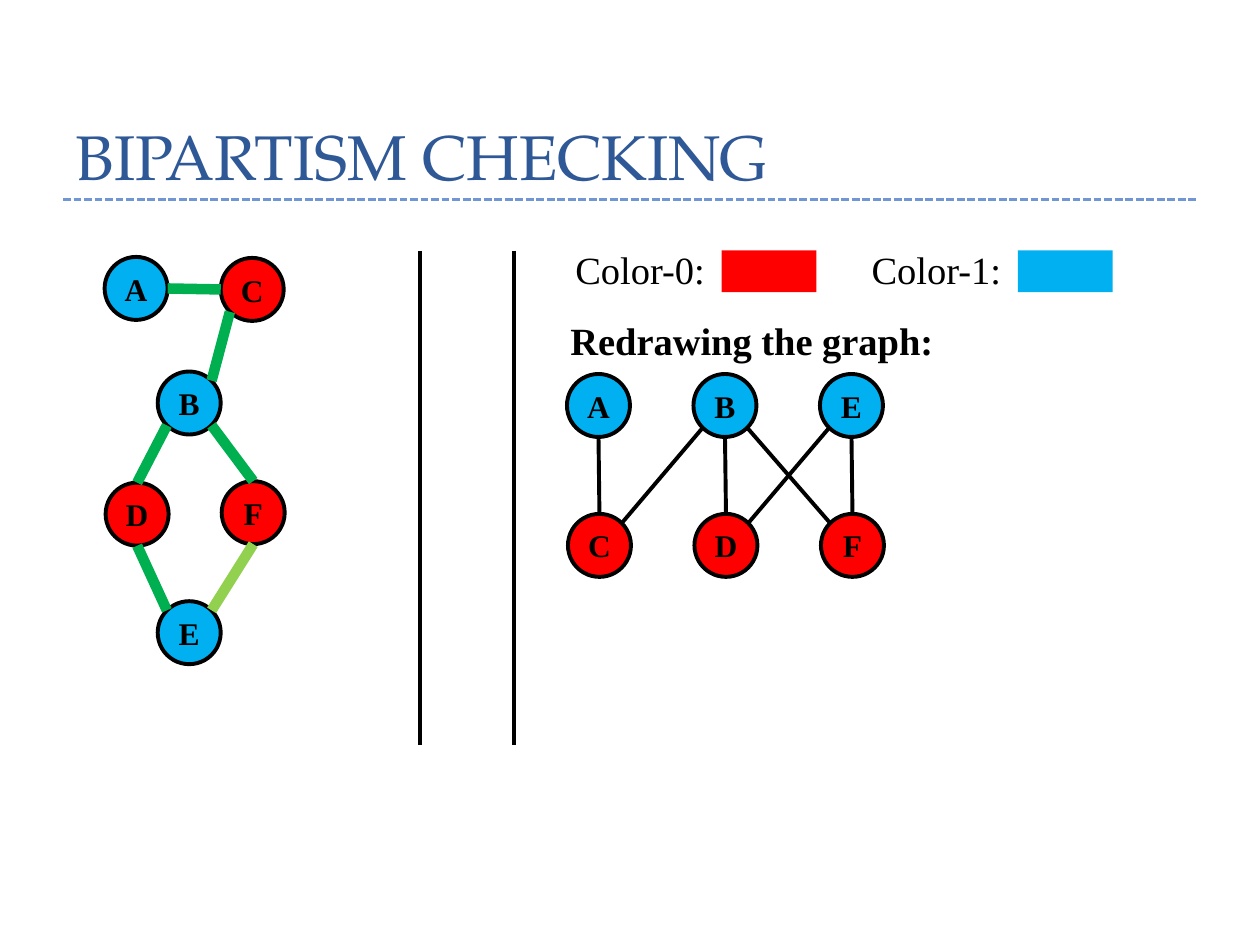
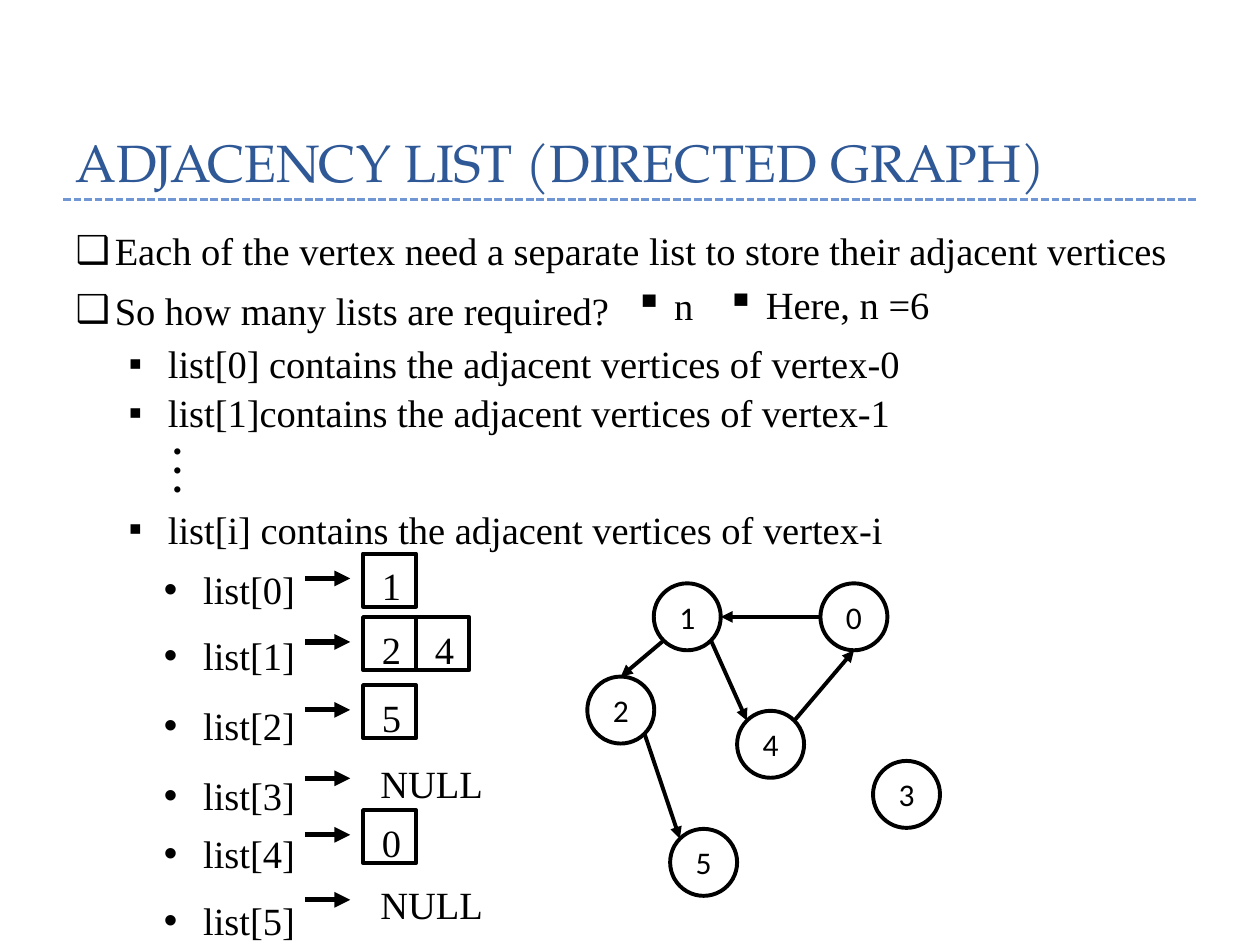
"""Build two slides on graphs: bipartism checking and the adjacency list."""
from dataclasses import dataclass

from lxml.etree import SubElement
from pptx import Presentation
from pptx.dml.color import RGBColor as Rgb
from pptx.enum.dml import MSO_LINE as Dash
from pptx.enum.shapes import MSO_CONNECTOR as Wire, MSO_SHAPE as Form
from pptx.enum.text import MSO_ANCHOR as Anchor, MSO_AUTO_SIZE as Fit, PP_ALIGN as Align
from pptx.oxml.ns import qn
from pptx.util import Cm, Pt


@dataclass(frozen=True)
class Theme:
    title: str = "2F5897"
    rule: str = "7097D3"
    ink: str = "000000"
    red: str = "FF0000"
    blue: str = "00B0F0"
    green: str = "00B050"
    lime: str = "92D050"
    head: str = "TeX Gyre Pagella"
    serif: str = "Times New Roman"
    sans: str = "Calibri"
    text: int = 22
    label: int = 18
    edge: float = 2.25
    hang: float = 0.79


look = Theme()
SITES = {"n": (0, -1), "s": (0, 1), "w": (-1, 0), "e": (1, 0),
         "nw": (-0.71, -0.71), "ne": (0.71, -0.71), "sw": (-0.71, 0.71), "se": (0.71, 0.71)}


def write(shape, text, size=look.text, font=look.serif, color=look.ink, bold=False,
          bullet=None, level=0, left=0, before=0, space=1.0, align=Align.LEFT,
          anchor=Anchor.TOP, fill=None, edge=False, pad=None):
    if fill or edge:
        shape.shadow.inherit = False
        shape.fill.background()
        shape.line.fill.background()
    if fill:
        shape.fill.solid()
        shape.fill.fore_color.rgb = Rgb.from_string(fill)
    if edge:
        shape.line.color.rgb = Rgb.from_string(look.ink)
        shape.line.width = Pt(look.edge)
    frame = shape.text_frame
    frame.word_wrap = True
    frame.auto_size = Fit.NONE
    frame.vertical_anchor = anchor
    if pad:
        frame.margin_left, frame.margin_top = Cm(pad[0]), Cm(pad[1])
        frame.margin_right = frame.margin_bottom = 0
    if not text:
        return
    para = frame.add_paragraph() if frame.text else frame.paragraphs[0]
    para.alignment, para.level = align, level
    para.line_spacing, para.space_before, para.space_after = space, Pt(before), Pt(0)
    if bullet:
        props = para._p.get_or_add_pPr()
        props.set("marL", str(Cm(left + look.hang)))
        props.set("indent", str(-Cm(look.hang)))
        SubElement(props, qn("a:buChar")).set("char", bullet)
    run = para.add_run()
    run.text = text
    run.font.size, run.font.name, run.font.bold = Pt(size), font, bold
    run.font.color.rgb = Rgb.from_string(color)


def link(slide, start, end, color=look.ink, width=look.edge, dash=None, arrow=False):
    points = []
    for item, spot in (start, end):
        if spot in SITES:
            across, down = SITES[spot]
            points += [int(item.left + item.width * (1 + across) / 2),
                       int(item.top + item.height * (1 + down) / 2)]
        else:
            points += [Cm(item), Cm(spot)]
    wire = slide.shapes.add_connector(Wire.STRAIGHT, *points)
    wire.line.color.rgb = Rgb.from_string(color)
    wire.line.width = Pt(width)
    if dash:
        wire.line.dash_style = dash
    props = wire._element.spPr
    if arrow:
        SubElement(props.find(qn("a:ln")), qn("a:tailEnd")).set("type", "triangle")
    SubElement(props, qn("a:effectLst"))


deck = Presentation()
deck.slide_width, deck.slide_height = Cm(25.4), Cm(19.05)
pages = []
for name, size, layout in (("BIPARTISM CHECKING", 36, 5),
                           ("ADJACENCY LIST (DIRECTED GRAPH)", 30, 1)):
    page = deck.slides.add_slide(deck.slide_layouts[layout])
    title = page.shapes.title
    title.left, title.top, title.width, title.height = Cm(1.27), Cm(-0.43), Cm(22.86), Cm(4.45)
    write(title, name, size=size, font=look.head, color=look.title, space=Pt(58),
          anchor=Anchor.BOTTOM)
    link(page, (1.27, 4.02), (24.13, 4.02), look.rule, 1.5, Dash.SQUARE_DOT)
    pages.append(page)

check, lists = pages

for x in (8.46, 10.36):
    link(check, (x, 5.05), (x, 15.01))
for x, swatch, name, fill in ((11.35, 14.55, "Color-0:", look.red),
                              (17.32, 20.52, "Color-1:", look.blue)):
    write(check.shapes.add_textbox(Cm(x), Cm(4.83), Cm(3.15), Cm(1.19)), name)
    write(check.shapes.add_shape(Form.RECTANGLE, Cm(swatch), Cm(5.05), Cm(1.91), Cm(0.84)),
          "", fill=fill)
write(check.shapes.add_textbox(Cm(11.25), Cm(6.27), Cm(8.5), Cm(1.19)),
      "Redrawing the graph:", bold=True)

graph = {"A": (2.11, 5.18), "C": (4.45, 5.2), "B": (3.18, 7.49),
         "D": (2.13, 9.73), "F": (4.47, 9.7), "E": (3.18, 12.12)}
halves = {name: (11.43 + 2.55 * col + 0.02 * row, 7.54 + 2.82 * row)
          for row, names in enumerate(("ABE", "CDF")) for col, name in enumerate(names)}
paths = (("A", "e", "C", "w"), ("B", "ne", "C", "sw"), ("B", "sw", "D", "n"),
         ("B", "se", "F", "n"), ("D", "s", "E", "nw"), ("F", "s", "E", "ne"))
spans = (("A", "s", "C", "n"), ("B", "sw", "C", "ne"), ("B", "s", "D", "n"),
         ("B", "se", "F", "nw"), ("D", "ne", "E", "sw"), ("E", "s", "F", "n"))
for spots, edges, width in ((graph, paths, 6), (halves, spans, look.edge)):
    nodes = {}
    for name, (x, y) in spots.items():
        nodes[name] = check.shapes.add_shape(Form.OVAL, Cm(x), Cm(y), Cm(1.27), Cm(1.27))
        write(nodes[name], name, size=look.label, bold=True, align=Align.CENTER,
              anchor=Anchor.MIDDLE, edge=True, pad=(0, 0),
              fill=look.blue if name in "ABE" else look.red)
    for one, out, two, into in edges:
        color = look.ink if spots is halves else look.lime if one == "F" else look.green
        link(check, (nodes[one], out), (nodes[two], into), color, width)

rows = ((11.1, "1"), (12.38, "24"), (13.75, "5"), (15.13, ""), (16.27, "0"), (17.58, ""))
items = [(4.45, 0, "Each of the vertex need a separate list to store their adjacent vertices"),
         (5.61, 0, "So how many lists are required?"),
         (6.65, 1, "list[0] contains the adjacent vertices of vertex-0"),
         (7.6, 1, "list[1]contains the adjacent vertices of vertex-1"),
         (9.91, 1, "list[i] contains the adjacent vertices of vertex-i")]
items += [(top, 2, f"list[{i}]") for i, (top, _) in enumerate(rows)]
body = lists.placeholders[1]
body.left, body.top, body.width, body.height = Cm(1.27), Cm(4.45), Cm(22.86), Cm(14.33)
last = None
for top, level, text in items:
    before = 0 if last is None else round((top - last) * 28.35 - 25.3, 1)
    write(body, text, bullet="❑▪•"[level], level=level, left=(0, 1.07, 1.78)[level],
          before=before)
    last = top

for x, y, width, text in ((12.55, 5.56, 1.8, "n"), (14.4, 5.54, 4.9, "Here, n =6")):
    write(lists.shapes.add_textbox(Cm(x), Cm(y), Cm(width), Cm(1.19)), text, bullet="▪")
for i in range(3):
    write(lists.shapes.add_textbox(Cm(3.23), Cm(8.26 + 0.38 * i), Cm(0.71), Cm(1.19)),
          ".", bold=True)

for top, cells in rows:
    link(lists, (6.15, top + 0.56), (7.06, top + 0.56), width=3, arrow=True)
    for i, cell in enumerate(cells):
        box = lists.shapes.add_shape(Form.RECTANGLE, Cm(7.32 + 1.07 * i), Cm(top + 0.06),
                                     Cm(1.07), Cm(1.07))
        write(box, cell, edge=True, pad=(0.38, 0.18))
    if not cells:
        write(lists.shapes.add_textbox(Cm(7.42), Cm(top + 0.06), Cm(2.8), Cm(1.19)), "NULL")

spots = {"1": (13.18, 11.76), "2": (11.84, 13.64), "0": (16.54, 11.76),
         "4": (14.86, 14.33), "5": (13.51, 16.71), "3": (17.6, 15.34)}
nodes = {}
for name, (x, y) in spots.items():
    nodes[name] = lists.shapes.add_shape(Form.OVAL, Cm(x), Cm(y), Cm(1.35), Cm(1.35))
    write(nodes[name], name, size=look.label, font=look.sans, align=Align.CENTER,
          anchor=Anchor.MIDDLE, edge=True, pad=(0, 0))
for one, out, two, into in (("1", "sw", "2", "n"), ("1", "se", "4", "nw"),
                            ("4", "ne", "0", "s"), ("2", "se", "5", "nw"),
                            ("0", "w", "1", "e")):
    link(lists, (nodes[one], out), (nodes[two], into), arrow=True)

deck.save("out.pptx")
